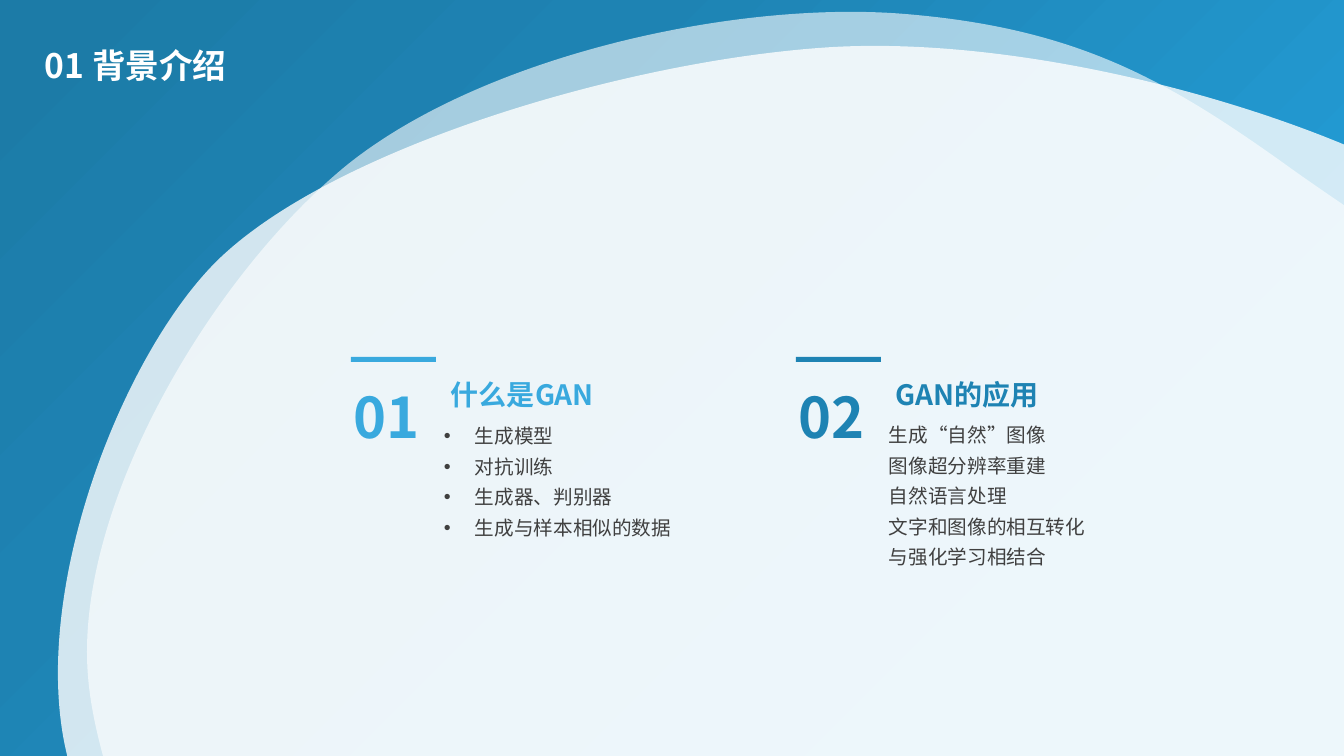
from copy import deepcopy

from lxml.etree import SubElement
from pptx import Presentation
from pptx.dml.color import RGBColor
from pptx.enum.shapes import MSO_SHAPE
from pptx.enum.text import MSO_ANCHOR, MSO_AUTO_SIZE, PP_ALIGN
from pptx.oxml.ns import qn
from pptx.util import Pt

SCALE = 12192000 / 1344
WIDTH, HEIGHT = 1344, 756
FONT = "Noto Sans CJK SC"
WHITE = RGBColor(0xFF, 0xFF, 0xFF)
SKY = RGBColor(0x39, 0xA9, 0xDE)
BRIGHT = RGBColor(0x23, 0x9C, 0xD5)
BLUE = RGBColor(0x1E, 0x83, 0xB3)
DEEP = RGBColor(0x1C, 0x7B, 0xA7)
GRAY = RGBColor(0x40, 0x40, 0x40)

BACKDROP_STOPS = [(0, BRIGHT), (0.23, BRIGHT), (0.69, BLUE), (0.97, DEEP)]

# Each blob: opacity in percent, start point, then (control, control, end) curves.
BLOBS = [
    (60, (1282, 162), [
        ((1164, 78), (1074, 28), (905, 14)),
        ((737, 0), (484, 55), (347, 165)),
        ((211, 276), (74, 508), (88, 676)),
        ((101, 845), (291, 1212), (490, 1302)),
        ((688, 1392), (1253, 1389), (1440, 1259)),
        ((1628, 1130), (1627, 692), (1614, 524)),
        ((1600, 356), (1400, 248), (1282, 162)),
    ]),
    (80, (1666, 450), [
        ((1625, 345), (1583, 274), (1443, 193)),
        ((1304, 111), (1037, 36), (834, 47)),
        ((629, 59), (332, 148), (217, 261)),
        ((103, 374), (-6, 689), (103, 834)),
        ((211, 977), (715, 1219), (979, 1217)),
        ((1243, 1215), (1572, 936), (1687, 824)),
        ((1802, 711), (1707, 555), (1666, 450)),
    ]),
]

TOPICS = [
    {"number": "01", "heading": "什么是GAN", "color": SKY, "bullet": "•",
     "list_top": 412, "list_height": 134,
     "lines": ["生成模型", "对抗训练", "生成器、判别器", "生成与样本相似的数据"]},
    {"number": "02", "heading": "GAN的应用", "color": BLUE, "bullet": None,
     "list_top": 411, "list_height": 196,
     "lines": ["生成“自然”图像", "图像超分辨率重建", "自然语言处理",
               "文字和图像的相互转化", "与强化学习相结合"]},
]
TOPIC_LEFT, TOPIC_PITCH, TOPIC_TOP = 351, 445, 357


def px(value):
    return round(value * SCALE)


def set_all(target, values):
    for name, value in values.items():
        setattr(target, name, value)


def add_rectangle(page, left, top, width, height):
    shape = page.shapes.add_shape(
        MSO_SHAPE.RECTANGLE, px(left), px(top), px(width), px(height))
    shape.shadow.inherit = False
    shape.line.fill.background()
    return shape


def add_backdrop(page):
    fill = add_rectangle(page, 0, 0, WIDTH, HEIGHT).fill
    fill.gradient()
    fill.gradient_angle = 135
    stop_list = next(page.shapes[-1].element.iter(qn("a:gsLst")))
    while len(stop_list) < len(BACKDROP_STOPS):
        stop_list.append(deepcopy(stop_list[0]))
    for stop, (position, color) in zip(fill.gradient_stops, BACKDROP_STOPS):
        stop.position = position
        stop.color.rgb = color


def add_blob(page, opacity, start, curves):
    """Draw a closed, see-through white outline made of cubic curves."""
    builder = page.shapes.build_freeform(px(start[0]), px(start[1]), scale=1.0)
    builder.add_line_segments([(px(x), px(y)) for *_, (x, y) in curves])
    shape = builder.convert_to_shape()
    segments = list(shape.element.iter(qn("a:lnTo")))
    for segment, curve in zip(segments, curves):
        cubic = segment.makeelement(qn("a:cubicBezTo"))
        for x, y in curve:
            SubElement(cubic, qn("a:pt"), x=str(px(x) - shape.left),
                       y=str(px(y) - shape.top))
        segment.getparent().replace(segment, cubic)
    shape.shadow.inherit = False
    shape.line.fill.background()
    shape.fill.solid()
    shape.fill.fore_color.rgb = WHITE
    color = next(shape.element.spPr.iter(qn("a:srgbClr")))
    SubElement(color, qn("a:alpha"), val=str(opacity * 1000))


def add_bullet(para, symbol):
    properties = para._p.get_or_add_pPr()
    properties.set("marL", str(px(31)))
    properties.set("indent", str(-px(31)))
    SubElement(properties, qn("a:buFont"), typeface="Arial")
    SubElement(properties, qn("a:buChar"), char=symbol)


def add_text(page, place, lines, size, color, bold=False, bullet=None,
             frame_format=None, para_format=None):
    box = page.shapes.add_textbox(*map(px, place))
    frame = box.text_frame
    set_all(frame, {"word_wrap": True, "auto_size": MSO_AUTO_SIZE.SHAPE_TO_FIT_TEXT,
                    **(frame_format or {})})
    for index, line in enumerate(lines):
        para = frame.add_paragraph() if index else frame.paragraphs[0]
        set_all(para, {"alignment": PP_ALIGN.LEFT, "line_spacing": 1.3,
                       **(para_format or {})})
        if bullet:
            add_bullet(para, bullet)
        span = para.add_run()
        span.text = line
        set_all(span.font, {"size": Pt(size), "bold": bold, "name": FONT})
        span.font.color.rgb = color
        SubElement(span.font._element, qn("a:ea"), typeface=FONT)


def add_topic(page, left, topic):
    color = topic["color"]
    bar = add_rectangle(page, left, TOPIC_TOP, 85, 5)
    bar.fill.solid()
    bar.fill.fore_color.rgb = color
    add_text(page, (left + 83, topic["list_top"], 277, topic["list_height"]),
             topic["lines"], 14, GRAY, bullet=topic["bullet"])
    one_line = {"word_wrap": False}
    add_text(page, (left + 90, TOPIC_TOP + 5, 172, 50), [topic["heading"]],
             20, color, bold=True, frame_format=one_line)
    add_text(page, (left - 7, TOPIC_TOP, 90, 99), [topic["number"]],
             40, color, bold=True, frame_format=one_line)


def main():
    deck = Presentation()
    set_all(deck, {"slide_width": px(WIDTH), "slide_height": px(HEIGHT)})
    page = deck.slides.add_slide(deck.slide_layouts[6])
    add_backdrop(page)
    for blob in BLOBS:
        add_blob(page, *blob)
    add_text(page, (35, 28, 585, 80), ["01 背景介绍"], 24, WHITE, bold=True,
             frame_format={"auto_size": MSO_AUTO_SIZE.NONE,
                           "vertical_anchor": MSO_ANCHOR.MIDDLE},
             para_format={"line_spacing": 0.9, "space_before": Pt(10)})
    for index, topic in enumerate(TOPICS):
        add_topic(page, TOPIC_LEFT + index * TOPIC_PITCH, topic)
    deck.save("out.pptx")


if __name__ == "__main__":
    main()
